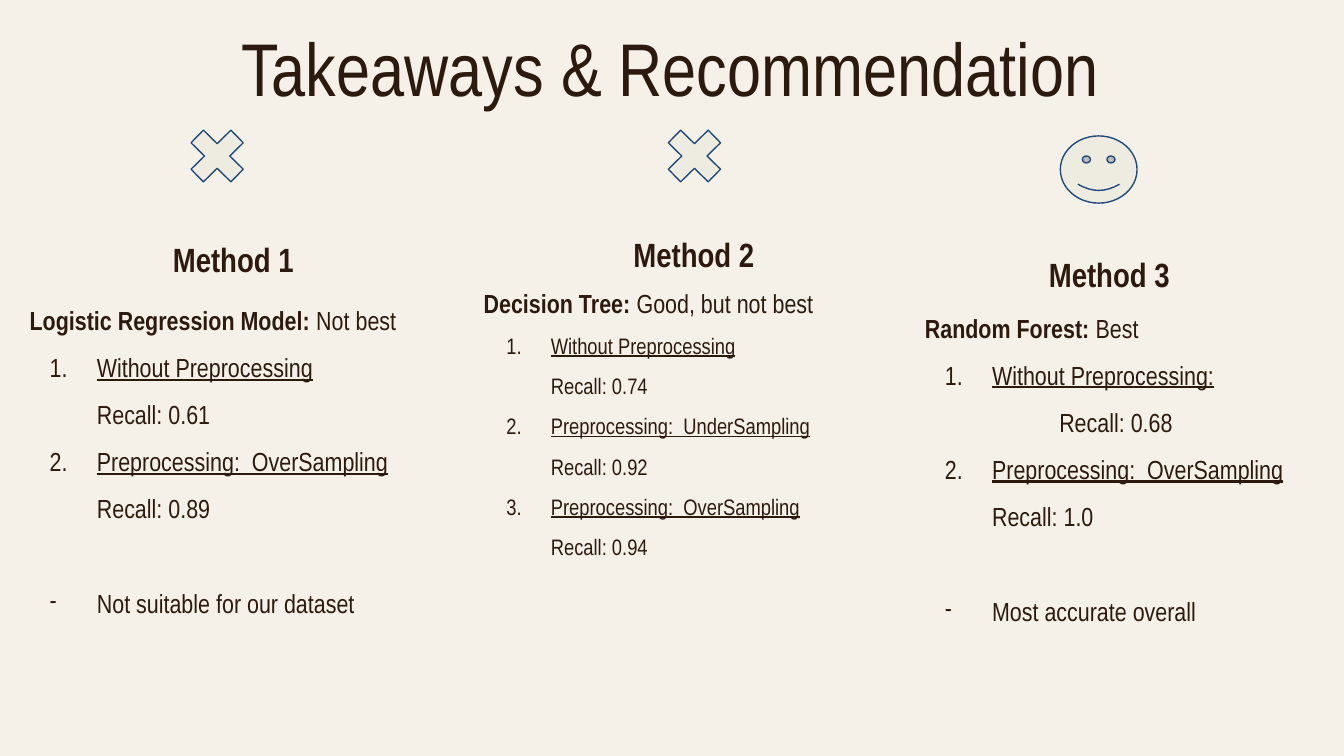
from lxml.etree import SubElement
from pptx import Presentation
from pptx.dml.color import RGBColor as Rgb
from pptx.enum.shapes import MSO_SHAPE as Shape
from pptx.enum.text import MSO_ANCHOR as Anchor, MSO_AUTO_SIZE as Auto, PP_ALIGN as Align
from pptx.oxml.ns import qn
from pptx.util import Cm, Pt

COLORS = {"back": "F5F1E9", "text": "2D1A0E", "icon": "EEECE1", "line": "1F497D"}
FONT = "Arial Narrow"
INDENT = 1.27

# Boxes are left, top, width, height in cm; holders are placeholder numbers.
METHODS = [
    {"name": "Method 1", "model": "Logistic Regression Model:", "verdict": " Not best",
     "head": (0.56, 4.22, 7.7, 0.76), "body": (0.56, 5.46, 7.7, 6),
     "holders": (1, 2), "size": 14, "hang": 0.89,
     "steps": [("Without Preprocessing", "Recall: 0.61", 1),
               ("Preprocessing:  OverSampling", "Recall: 0.89", 1)],
     "note": "Not suitable for our dataset"},
    {"name": "Method 2", "model": "Decision Tree:", "verdict": " Good, but not best",
     "head": (9.14, 4.11, 7.95, 0.76), "body": (9.14, 5.13, 7.95, 7.39),
     "holders": (3, 4), "size": 12, "hang": 0.84,
     "steps": [("Without Preprocessing", "Recall: 0.74", 1),
               ("Preprocessing:  UnderSampling", "Recall: 0.92", 1),
               ("Preprocessing:  OverSampling", "Recall: 0.94", 1)],
     "note": None},
    {"name": "Method 3", "model": "Random Forest:", "verdict": " Best",
     "head": (17.42, 4.5, 7.09, 0.76), "body": (17.48, 5.61, 7.09, 7.77),
     "holders": None, "size": 14, "hang": 0.89,
     "steps": [("Without Preprocessing:", "Recall: 0.68", 2),
               ("Preprocessing:  OverSampling", "Recall: 1.0", 1)],
     "note": "Most accurate overall"},
]
ICONS = [
    (Shape.SMILEY_FACE, (20.04, 2.57, 1.45, 1.27), 0.047),
    (Shape.MATH_MULTIPLY, (3.38, 2.24, 1.45, 1.42), 0.235),
    (Shape.MATH_MULTIPLY, (12.4, 2.24, 1.45, 1.42), 0.235),
]


def color(name):
    return Rgb.from_string(COLORS[name])


def set_all(target, values):
    for name, value in values.items():
        setattr(target, name, value)


def add_frame(slide, holder, box, inset=0):
    """Place a placeholder, or a text box where the layout has none left."""
    sides = [Cm(side) for side in box]
    if holder is None:
        shape = slide.shapes.add_textbox(*sides)
    else:
        shape = slide.placeholders[holder]
        set_all(shape, dict(zip(("left", "top", "width", "height"), sides)))
    frame = shape.text_frame
    set_all(frame, {"word_wrap": True, "auto_size": Auto.NONE,
                    "vertical_anchor": Anchor.TOP})
    set_all(frame, {f"margin_{side}": Cm(inset)
                    for side in ("left", "top", "right", "bottom")})
    return frame


def add_run(para, text, size, bold=False, line=False):
    run = para.add_run()
    run.text = text
    set_all(run.font, {"name": FONT, "size": Pt(size), "bold": bold, "underline": line})
    run.font.color.rgb = color("text")


def add_para(frame, align=Align.LEFT, pitch=1.5, before=0, left=0, hang=0, mark=None):
    """Add a paragraph; mark is a step number, a bullet sign or None."""
    first = frame.paragraphs[0]
    para = frame.add_paragraph() if first.runs else first
    set_all(para, {"alignment": align, "line_spacing": pitch,
                   "space_before": Pt(before), "space_after": Pt(0)})
    props = para._p.get_or_add_pPr()
    props.set("marL", str(Cm(left)))
    props.set("indent", str(Cm(-hang)))
    if mark is None:
        SubElement(props, qn("a:buNone"))
        return para
    tint = SubElement(props, qn("a:buClr"))
    SubElement(tint, qn("a:srgbClr"), val=COLORS["text"])
    SubElement(props, qn("a:buFont"), typeface=FONT)
    if isinstance(mark, int):
        SubElement(props, qn("a:buAutoNum"), type="arabicPeriod", startAt=str(mark))
    else:
        SubElement(props, qn("a:buChar"), char=mark)
    return para


def add_method(slide, data):
    head, body = data["holders"] or (None, None)
    size, hang = data["size"], data["hang"]

    # Heading
    frame = add_frame(slide, head, data["head"])
    add_run(add_para(frame, Align.CENTER, 1.4), data["name"], 18, bold=True)

    # Model and verdict
    frame = add_frame(slide, body, data["body"])
    para = add_para(frame)
    add_run(para, data["model"], 14, bold=True)
    add_run(para, data["verdict"], 14)

    # Numbered steps, each with its recall
    for count, (step, recall, level) in enumerate(data["steps"], 1):
        para = add_para(frame, left=INDENT, hang=hang, mark=count)
        add_run(para, step, size, line=True)
        add_run(add_para(frame, left=INDENT * level), recall, size)

    # Closing note
    if data["note"]:
        para = add_para(frame, before=25.5, left=INDENT, hang=hang, mark="-")
        add_run(para, data["note"], size)


def add_icon(slide, kind, box, bend):
    icon = slide.shapes.add_shape(kind, *(Cm(side) for side in box))
    icon.adjustments[0] = bend
    icon.shadow.inherit = False
    icon.fill.solid()
    icon.fill.fore_color.rgb = color("icon")
    icon.line.color.rgb = color("line")
    icon.line.width = Pt(0.75)


def main():
    deck = Presentation()
    set_all(deck, {"slide_width": Cm(25.4), "slide_height": Cm(14.29)})
    slide = deck.slides.add_slide(deck.slide_layouts.get_by_name("Comparison"))
    slide.background.fill.solid()
    slide.background.fill.fore_color.rgb = color("back")

    # Title
    frame = add_frame(slide, 0, (0.74, 0, 23.83, 2.24), 0.25)
    add_run(add_para(frame, Align.CENTER, 1.1), "Takeaways & Recommendation", 40)

    # Columns and icons
    for data in METHODS:
        add_method(slide, data)
    for icon in ICONS:
        add_icon(slide, *icon)
    deck.save("out.pptx")


if __name__ == "__main__":
    main()
